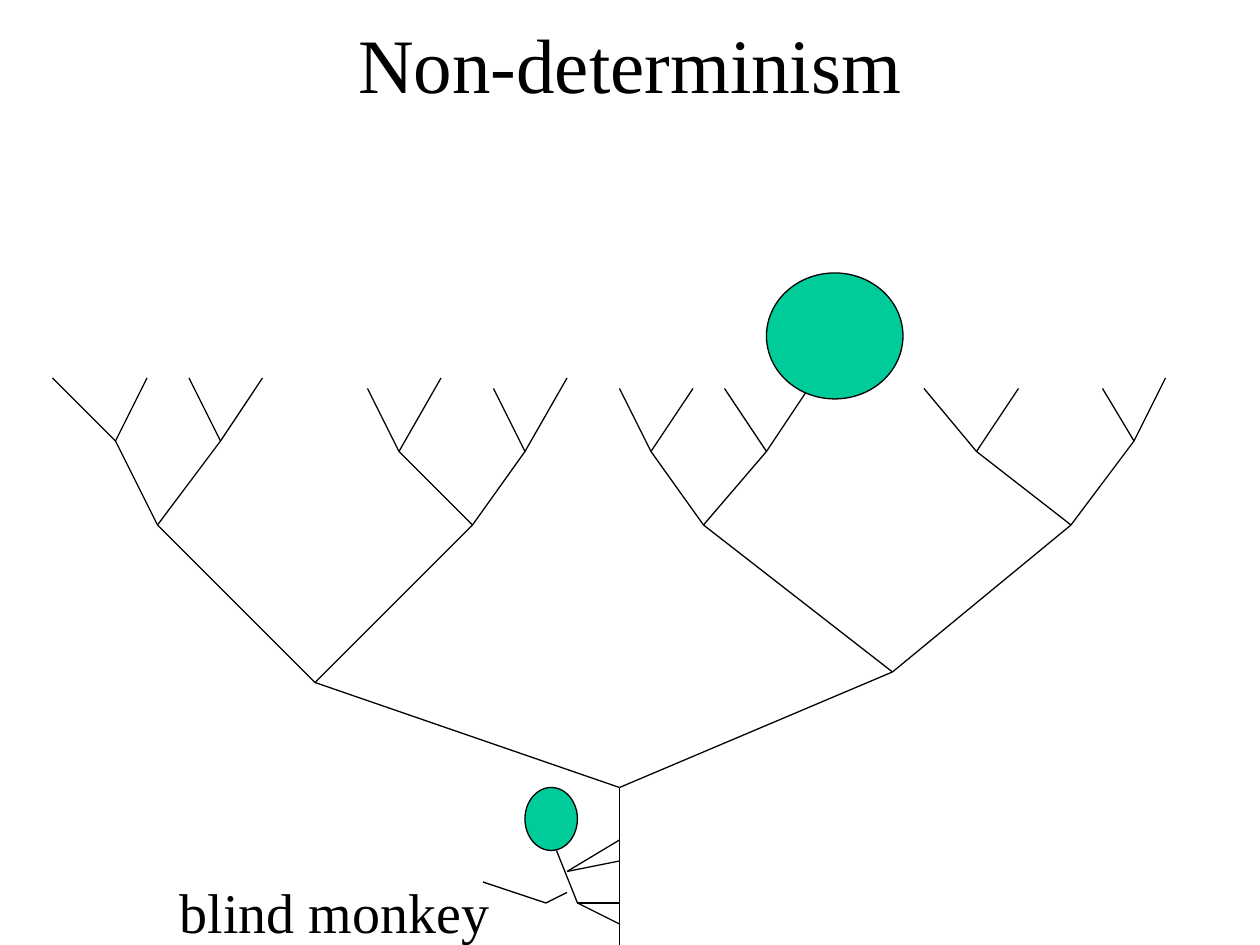
from pptx import Presentation
from pptx.dml.color import RGBColor
from pptx.enum.shapes import MSO_CONNECTOR, MSO_SHAPE
from pptx.enum.text import MSO_ANCHOR, PP_ALIGN
from pptx.oxml.ns import qn
from pptx.util import Cm, Pt
from lxml import etree

STRAIGHT = MSO_CONNECTOR.STRAIGHT
OVAL = MSO_SHAPE.OVAL
MIDDLE = MSO_ANCHOR.MIDDLE
LEFT, CENTER = PP_ALIGN.LEFT, PP_ALIGN.CENTER

FONT = "Times New Roman"
BLACK, GREEN = "000000", "00CC99"
CELL = 2.54 / 12  # all places below are counted in grid cells

# Each node branches to the nodes 2i and 2i + 1 of the next level.
TREE = [
    [(59, 75)],
    [(30, 65), (85, 64)],
    [(15, 50), (45, 50), (67, 50), (102, 50)],
    [(11, 42), (21, 42), (38, 43), (50, 43),
     (62, 43), (73, 43), (93, 43), (108, 42)],
    [(5, 36), (14, 36), (18, 36), (25, 36),
     (35, 37), (42, 36), (47, 37), (54, 36),
     (59, 37), (66, 37), (69, 37), (77, 37),
     (88, 37), (97, 37), (105, 37), (111, 36)],
]
TRUNK = [(59, 90), (59, 75)]
FRUIT = (73, 26, 13, 12)
HEAD = (50, 75, 5, 6)
MONKEY = [
    [(53, 81), (55, 86), (59, 86)],  # back and upper leg
    [(55, 86), (59, 88)],            # lower leg
    [(54, 83), (59, 80)],            # upper arm
    [(54, 83), (59, 82)],            # lower arm
    [(54, 85), (52, 86), (46, 84)],  # tail
]


def grid(*cells):
    return [Cm(n * CELL) for n in cells]


def color(code):
    return RGBColor.from_string(code)


def add_text(slide, box, text, size, align=LEFT):
    frame = slide.shapes.add_textbox(*grid(*box)).text_frame
    frame.word_wrap = True
    frame.vertical_anchor = MIDDLE
    frame.margin_left = frame.margin_right = 0
    frame.margin_top = frame.margin_bottom = 0
    para = frame.paragraphs[0]
    para.alignment = align
    run = para.add_run()
    run.text = text
    run.font.name = FONT
    run.font.size = Pt(size)
    run.font.color.rgb = color(BLACK)


def add_path(slide, points):
    """Join each point to the next with a straight line."""
    for start, end in zip(points, points[1:]):
        line = slide.shapes.add_connector(STRAIGHT, *grid(*start, *end))
        line.line.color.rgb = color(BLACK)
        line.line.width = Pt(0.75)
        etree.SubElement(line._element.spPr, qn("a:effectLst"))


def add_oval(slide, box):
    oval = slide.shapes.add_shape(OVAL, *grid(*box))
    oval.shadow.inherit = False
    oval.fill.solid()
    oval.fill.fore_color.rgb = color(GREEN)
    oval.line.color.rgb = color(BLACK)
    oval.line.width = Pt(0.75)


def main():
    deck = Presentation()
    deck.slide_width, deck.slide_height = grid(120, 90)
    slide = deck.slides.add_slide(deck.slide_layouts[6])

    add_text(slide, (8, 0, 104, 12), "Non-determinism", 44, align=CENTER)
    add_text(slide, (17.1, 83.8, 31, 5.9), "blind monkey", 32)

    add_path(slide, TRUNK)
    for nodes, tips in zip(TREE, TREE[1:]):
        for i, tip in enumerate(tips):
            add_path(slide, [nodes[i // 2], tip])

    for box in (FRUIT, HEAD):
        add_oval(slide, box)
    for limb in MONKEY:
        add_path(slide, limb)

    deck.save("out.pptx")


if __name__ == "__main__":
    main()
